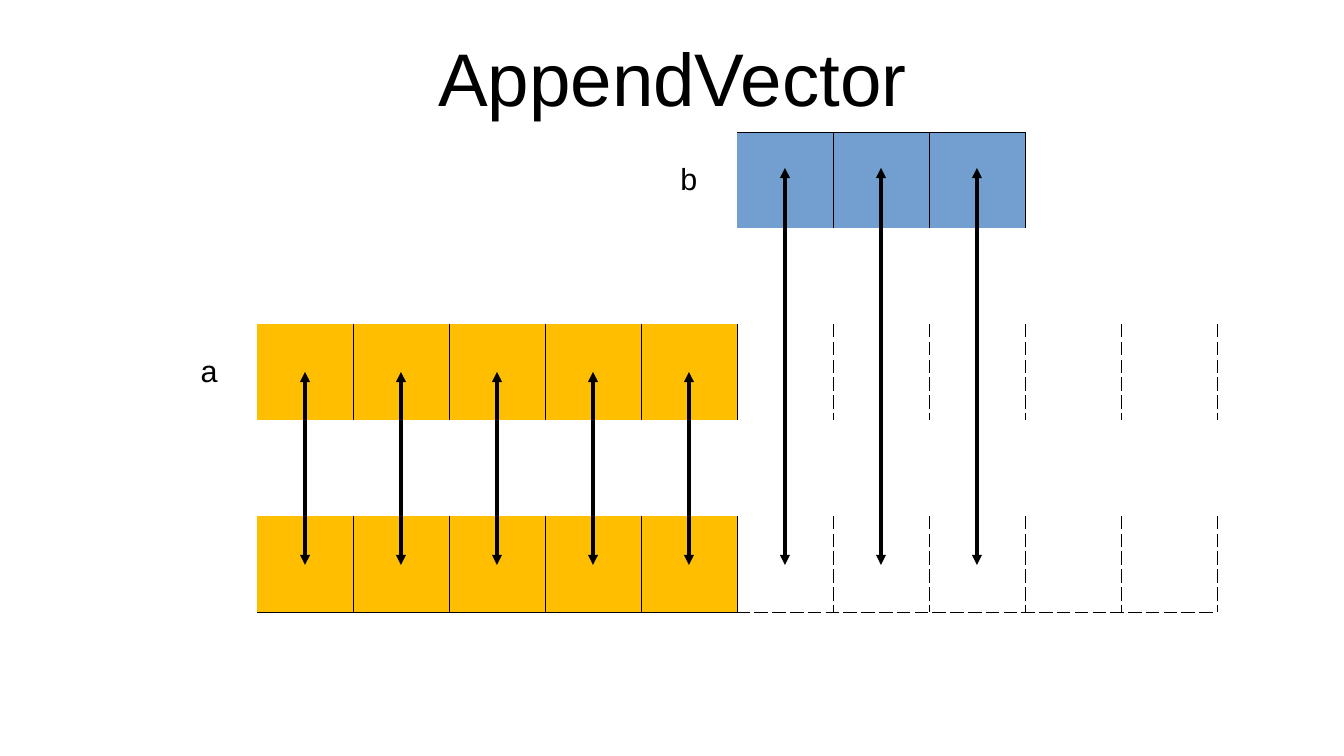
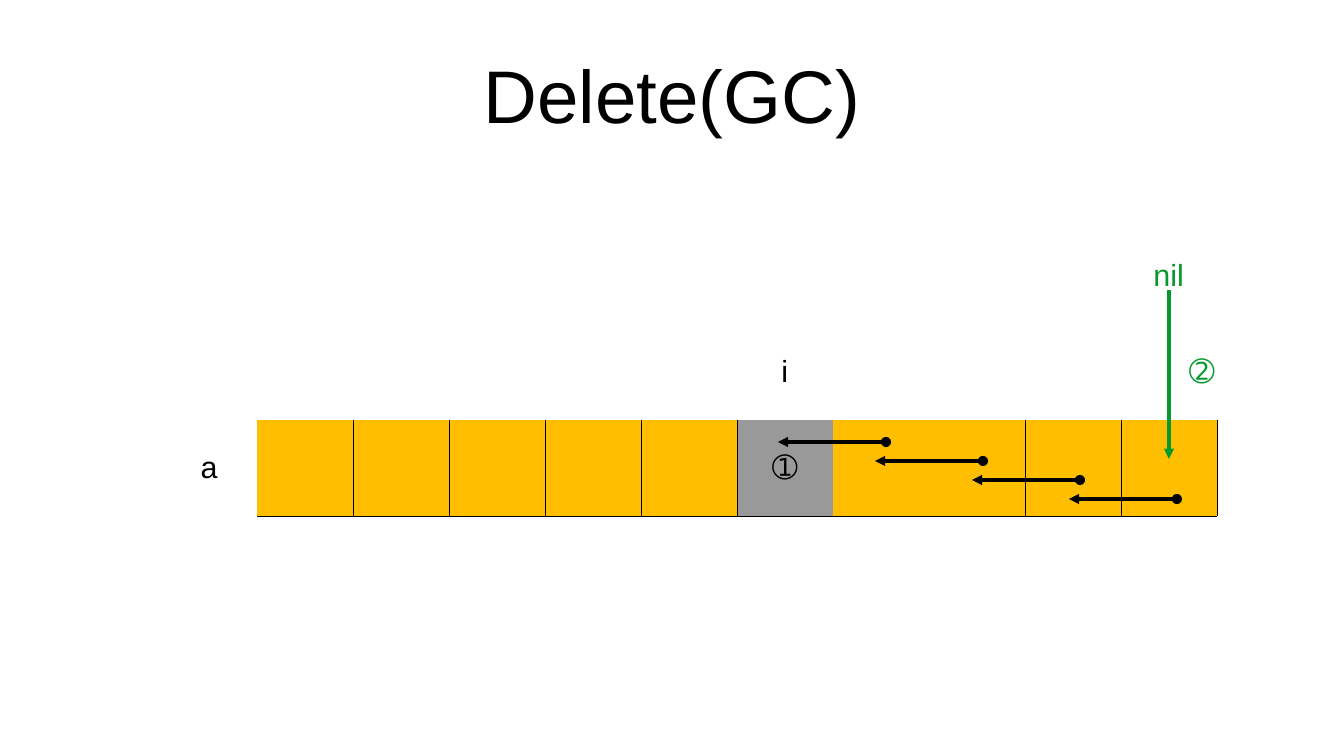
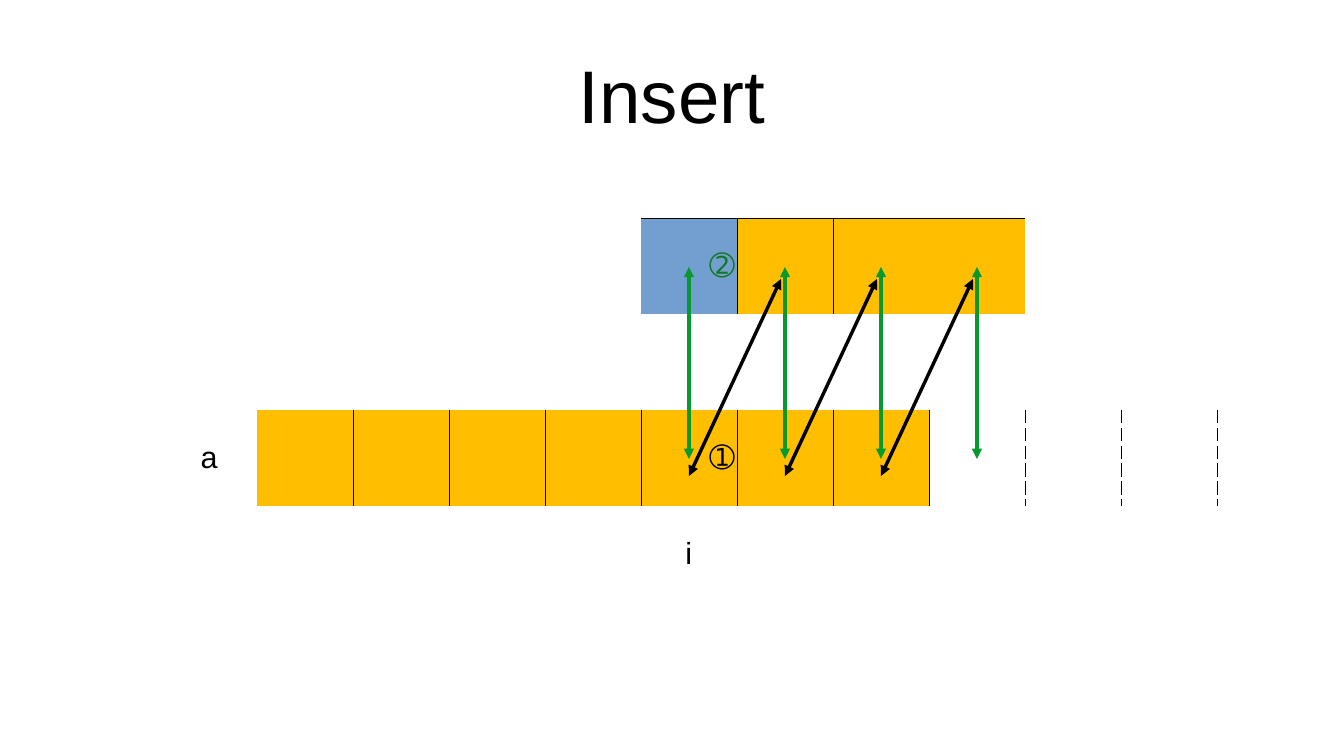
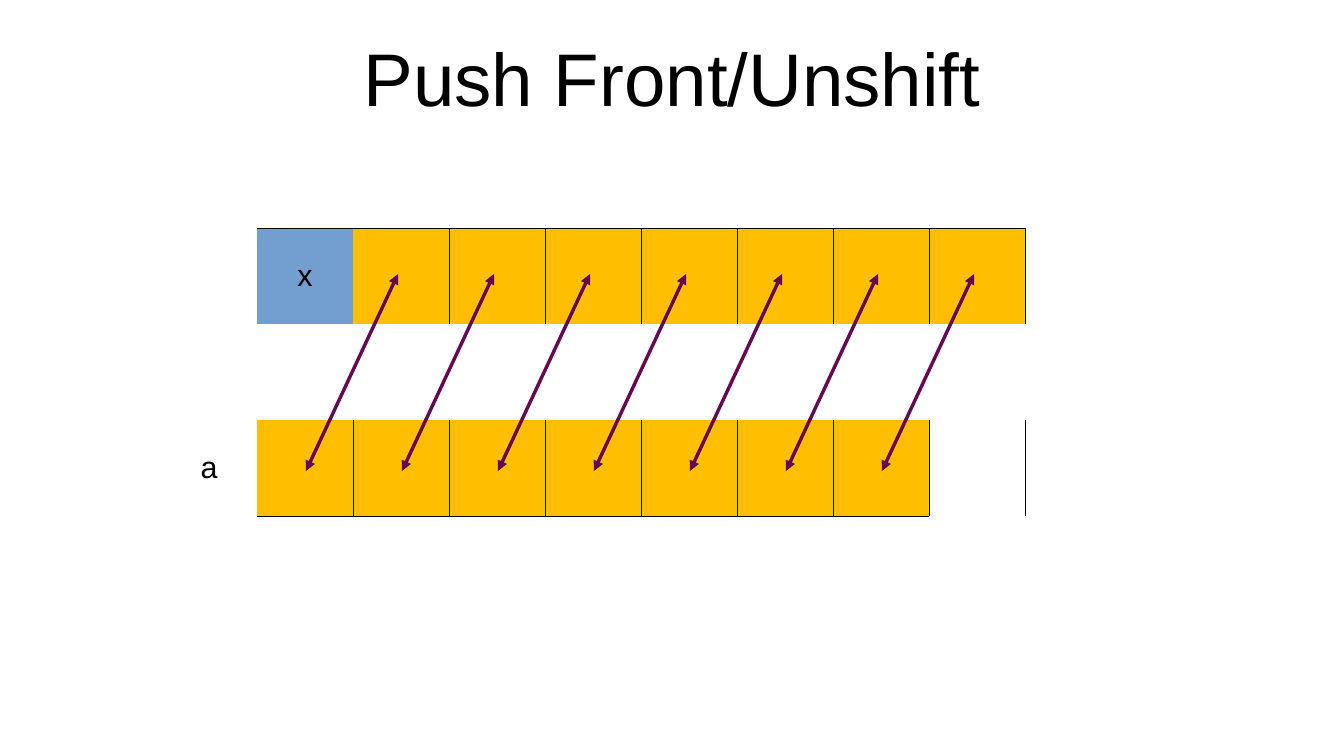
from lxml.etree import SubElement
from pptx import Presentation
from pptx.dml.color import RGBColor
from pptx.enum.shapes import MSO_CONNECTOR
from pptx.enum.text import MSO_ANCHOR, MSO_AUTO_SIZE, PP_ALIGN
from pptx.oxml.ns import qn
from pptx.util import Emu, Pt

# Shared look and grid
PX = 914400 / 122
COLOURS = {
    "black": "000000", "green": "069A2E", "dark_green": "127622",
    "plum": "650953", "orange": "FFBF00", "blue": "729FCF", "grey": "999999",
}
FONT = "Arial"
CELL = 96
GRID_LEFT = 161
COLUMNS = 11
BORDER_EMU = "762"
NO_GRID_STYLE = "{2D5ABB26-0587-4C30-8999-92F81FD0307C}"
TITLE_NARROW = (317, 29, 711, 96)
TITLE_WIDE = (67, 30, 1210, 127)

# Row notation: one letter per cell, "|" a solid divider, ":" a dashed one
EMPTY, SPARE = ".", "d"
FILLS = {"o": "orange", "b": "blue", "g": "grey"}
DASHES = {"|": "solid", ":": "dash"}
BLANK_ROW = EMPTY * COLUMNS


def px(length):
    return Emu(round(length * PX))


def rgb(name):
    return RGBColor.from_string(COLOURS[name])


def column_centre(column):
    return GRID_LEFT + CELL * column + CELL // 2


def format_text(paragraph, size, colour, align):
    paragraph.alignment = align
    for run in paragraph.runs:
        run.font.name = FONT
        run.font.size = Pt(size)
        run.font.color.rgb = rgb(colour)


def add_titled_slide(deck, heading, box):
    slide = deck.slides.add_slide(deck.slide_layouts[5])
    title = slide.shapes.title
    title.left, title.top, title.width, title.height = map(px, box)
    frame = title.text_frame
    frame.text = heading
    frame.auto_size = MSO_AUTO_SIZE.NONE
    frame.vertical_anchor = MSO_ANCHOR.MIDDLE
    frame.margin_left = frame.margin_right = 0
    frame.margin_top = frame.margin_bottom = 0
    format_text(frame.paragraphs[0], 44, "black", PP_ALIGN.CENTER)
    return slide


def read_row(row):
    """Split a row into its cell letters and its dividers by column edge."""
    cells, dividers = [], {}
    for mark in row:
        if mark in DASHES:
            dividers[len(cells)] = DASHES[mark]
        else:
            cells.append(mark)
    return cells, dividers


def set_borders(cell, sides):
    properties = cell._tc.get_or_add_tcPr()
    for side in ("lnL", "lnR", "lnT", "lnB"):
        if sides.get(side):
            line = SubElement(properties, qn(f"a:{side}"), w=BORDER_EMU)
            fill = SubElement(line, qn("a:solidFill"))
            SubElement(fill, qn("a:srgbClr"), val=COLOURS["black"])
            SubElement(line, qn("a:prstDash"), val=sides[side])


def add_vectors(slide, top, rows, labels):
    """Draw the vectors as a table; labels maps (row, column) to text, colour, align."""
    table = slide.shapes.add_table(
        len(rows), COLUMNS, px(GRID_LEFT), px(top),
        px(CELL * COLUMNS), px(CELL * len(rows))).table
    table.first_row = table.horz_banding = False
    table._tbl.tblPr.find(qn("a:tableStyleId")).text = NO_GRID_STYLE
    for column in table.columns:
        column.width = px(CELL)
    for r, row in enumerate(rows):
        table.rows[r].height = px(CELL)
        kinds, dividers = read_row(row)
        for c, kind in enumerate(kinds):
            cell = table.cell(r, c)
            sides = {"lnL": dividers.get(c), "lnR": dividers.get(c + 1)}
            if kind != EMPTY:
                outer = "dash" if kind == SPARE else "solid"
                sides["lnT"] = outer if r == 0 else None
                sides["lnB"] = outer if r == len(rows) - 1 else None
            set_borders(cell, sides)
            if kind in FILLS:
                cell.fill.solid()
                cell.fill.fore_color.rgb = rgb(FILLS[kind])
            else:
                cell.fill.background()
    for (r, c), (text, colour, align) in labels.items():
        cell = table.cell(r, c)
        cell.text = text
        cell.vertical_anchor = MSO_ANCHOR.MIDDLE
        cell.margin_left = cell.margin_right = px(2)
        cell.margin_top = cell.margin_bottom = px(6)
        format_text(cell.text_frame.paragraphs[0], 18, colour, align)


def add_arrow(slide, start, end, colour="black", head="triangle"):
    arrow = slide.shapes.add_connector(
        MSO_CONNECTOR.STRAIGHT, *map(px, start + end))
    arrow.line.width = 0
    arrow.line.color.rgb = rgb(colour)
    line = arrow.line._get_or_add_ln()
    SubElement(line, qn("a:headEnd"), type=head)
    SubElement(line, qn("a:tailEnd"), type="triangle")
    SubElement(arrow._element.spPr, qn("a:effectLst"))


def add_column_arrows(slide, columns, y_start, y_end, colour="black",
                      offset=0, shift=0):
    """One double arrow per column, from its centre to shift px further right."""
    for column in columns:
        x = column_centre(column) + offset
        add_arrow(slide, (x, y_start), (x + shift, y_end), colour)


def build_append(deck):
    slide = add_titled_slide(deck, "AppendVector", TITLE_NARROW)
    vector = ".o|o|o|o|od:d:d:d:d:"
    add_vectors(slide, 132, [
        "......b|b|b..", BLANK_ROW, vector, BLANK_ROW, vector,
    ], {
        (0, 5): ("b", "black", PP_ALIGN.CENTER),
        (2, 0): ("a", "black", PP_ALIGN.CENTER),
    })
    add_column_arrows(slide, range(1, 6), 372, 565)
    add_column_arrows(slide, range(6, 9), 168, 565)


def build_delete(deck):
    slide = add_titled_slide(deck, "Delete(GC)", TITLE_WIDE)
    add_vectors(slide, 228, [
        BLANK_ROW, BLANK_ROW, ".o|o|o|o|ogoo|o|o|",
    ], {
        (0, 10): ("nil", "green", PP_ALIGN.CENTER),
        (1, 6): ("i", "black", PP_ALIGN.CENTER),
        (1, 10): ("➁", "green", PP_ALIGN.RIGHT),
        (2, 0): ("a", "black", PP_ALIGN.CENTER),
        (2, 6): ("➀", "black", PP_ALIGN.CENTER),
    })
    for step in range(4):
        x, y = 886 + 97 * step, 442 + 19 * step
        add_arrow(slide, (x, y), (x - 108, y), head="oval")
    x = column_centre(10)
    add_arrow(slide, (x, 290), (x, 459), "green", head="none")


def build_insert(deck):
    slide = add_titled_slide(deck, "Insert", TITLE_WIDE)
    add_vectors(slide, 218, [
        ".....b|ooo..", BLANK_ROW, ".o|o|o|o|oo|o|d:d:d:", BLANK_ROW,
    ], {
        (0, 5): ("➁", "dark_green", PP_ALIGN.RIGHT),
        (2, 0): ("a", "black", PP_ALIGN.CENTER),
        (2, 5): ("➀", "black", PP_ALIGN.RIGHT),
        (3, 5): ("i", "black", PP_ALIGN.CENTER),
    })
    add_column_arrows(slide, range(5, 9), 267, 459, "green")
    add_column_arrows(slide, range(5, 8), 476, 279, shift=92)


def build_push_front(deck):
    slide = add_titled_slide(deck, "Push Front/Unshift", TITLE_NARROW)
    add_vectors(slide, 228, [
        ".bo|o|o|o|o|o|o..", BLANK_ROW, ".o|o|o|o|oo|o|...",
    ], {
        (0, 1): ("x", "black", PP_ALIGN.CENTER),
        (2, 0): ("a", "black", PP_ALIGN.CENTER),
    })
    add_column_arrows(slide, range(1, 8), 471, 274, "plum", offset=1, shift=92)


def main():
    deck = Presentation()
    deck.slide_width, deck.slide_height = px(1344), px(756)
    build_append(deck)
    build_delete(deck)
    build_insert(deck)
    build_push_front(deck)
    deck.save("out.pptx")


if __name__ == "__main__":
    main()
